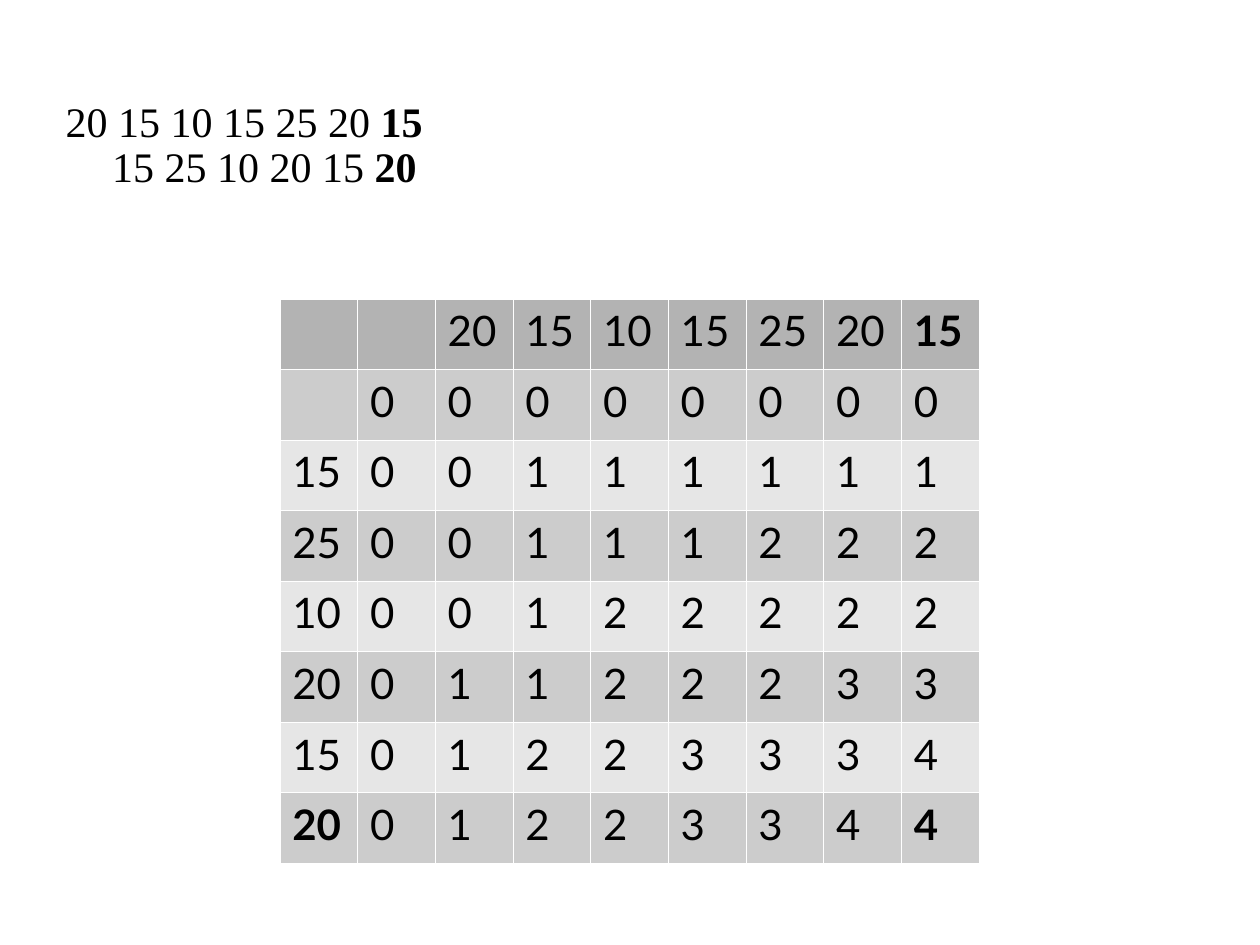
from lxml.etree import SubElement
from pptx import Presentation
from pptx.dml.color import RGBColor
from pptx.enum.text import MSO_ANCHOR, MSO_AUTO_SIZE
from pptx.oxml.ns import qn
from pptx.util import Inches, Pt

SEQUENCES = [("20 15 10 15 25 20 ", "15"), ("15 25 10 20 15 ", "20")]
LENGTHS = [
    ["", "", 20, 15, 10, 15, 25, 20, 15],
    ["", 0, 0, 0, 0, 0, 0, 0, 0],
    [15, 0, 0, 1, 1, 1, 1, 1, 1],
    [25, 0, 0, 1, 1, 1, 2, 2, 2],
    [10, 0, 0, 1, 2, 2, 2, 2, 2],
    [20, 0, 1, 1, 2, 2, 2, 3, 3],
    [15, 0, 1, 2, 2, 3, 3, 3, 4],
    [20, 0, 1, 2, 2, 3, 3, 4, 4],
]
ROWS, COLUMNS = len(LENGTHS), len(LENGTHS[0])
BOLD_CELLS = {(0, COLUMNS - 1), (ROWS - 1, 0), (ROWS - 1, COLUMNS - 1)}
HEADER_FILL, BAND_FILLS = "B3B3B3", ("E6E6E6", "CCCCCC")
ROW_HEIGHT, TABLE_WIDTH = 0.56, 5.55


def color(value):
    return RGBColor.from_string(value)


def add_text(paragraph, text, font="Lato", size=24, bold=False, ink="000000"):
    run = paragraph.add_run()
    run.text = text
    run.font.name = font
    run.font.size = Pt(size)
    run.font.bold = bold
    run.font.color.rgb = color(ink)


def add_borders(cell, ink="FFFFFF", width=0.06):
    properties = cell._tc.get_or_add_tcPr()
    for side in ("lnL", "lnR", "lnT", "lnB"):
        border = SubElement(properties, qn(f"a:{side}"), w=str(Pt(width)))
        SubElement(SubElement(border, qn("a:solidFill")), qn("a:srgbClr"), val=ink)


def add_sequences(slide):
    body = slide.placeholders[1]
    body.left, body.top = Inches(0.42), Inches(0.75)
    body.width, body.height = Inches(8.83), Inches(6.15)
    frame = body.text_frame
    frame.word_wrap = True
    frame.auto_size = MSO_AUTO_SIZE.NONE
    frame.vertical_anchor = MSO_ANCHOR.TOP
    paragraph = frame.paragraphs[0]
    properties = paragraph._p.get_or_add_pPr()
    properties.set("marL", str(Inches(0.37)))
    properties.set("indent", str(Inches(-0.37)))
    SubElement(properties, qn("a:buNone"))
    paragraph.line_spacing = 0.9
    paragraph.space_before = Pt(0)
    for index, (prefix, last) in enumerate(SEQUENCES):
        if index:
            paragraph.add_line_break()
        add_text(paragraph, prefix, font="Times New Roman")
        add_text(paragraph, last, font="Times New Roman", bold=True)


def add_lengths(slide):
    grid = slide.shapes.add_table(
        ROWS, COLUMNS, Inches(2.22), Inches(2.37),
        Inches(TABLE_WIDTH), Inches(ROW_HEIGHT * ROWS),
    ).table
    for column in grid.columns:
        column.width = Inches(TABLE_WIDTH / COLUMNS)
    for r, values in enumerate(LENGTHS):
        grid.rows[r].height = Inches(ROW_HEIGHT)
        for c, value in enumerate(values):
            cell = grid.cell(r, c)
            add_borders(cell)
            cell.fill.solid()
            cell.fill.fore_color.rgb = color(BAND_FILLS[r % 2] if r else HEADER_FILL)
            if value != "":
                paragraph = cell.text_frame.paragraphs[0]
                paragraph.line_spacing = 1.01
                add_text(paragraph, str(value), bold=(r, c) in BOLD_CELLS)


def main():
    deck = Presentation()
    deck.slide_width, deck.slide_height = Inches(10), Inches(7.5)
    slide = deck.slides.add_slide(deck.slide_layouts[1])
    title = slide.shapes.title.element
    title.getparent().remove(title)
    add_sequences(slide)
    add_lengths(slide)
    deck.save("out.pptx")


if __name__ == "__main__":
    main()
